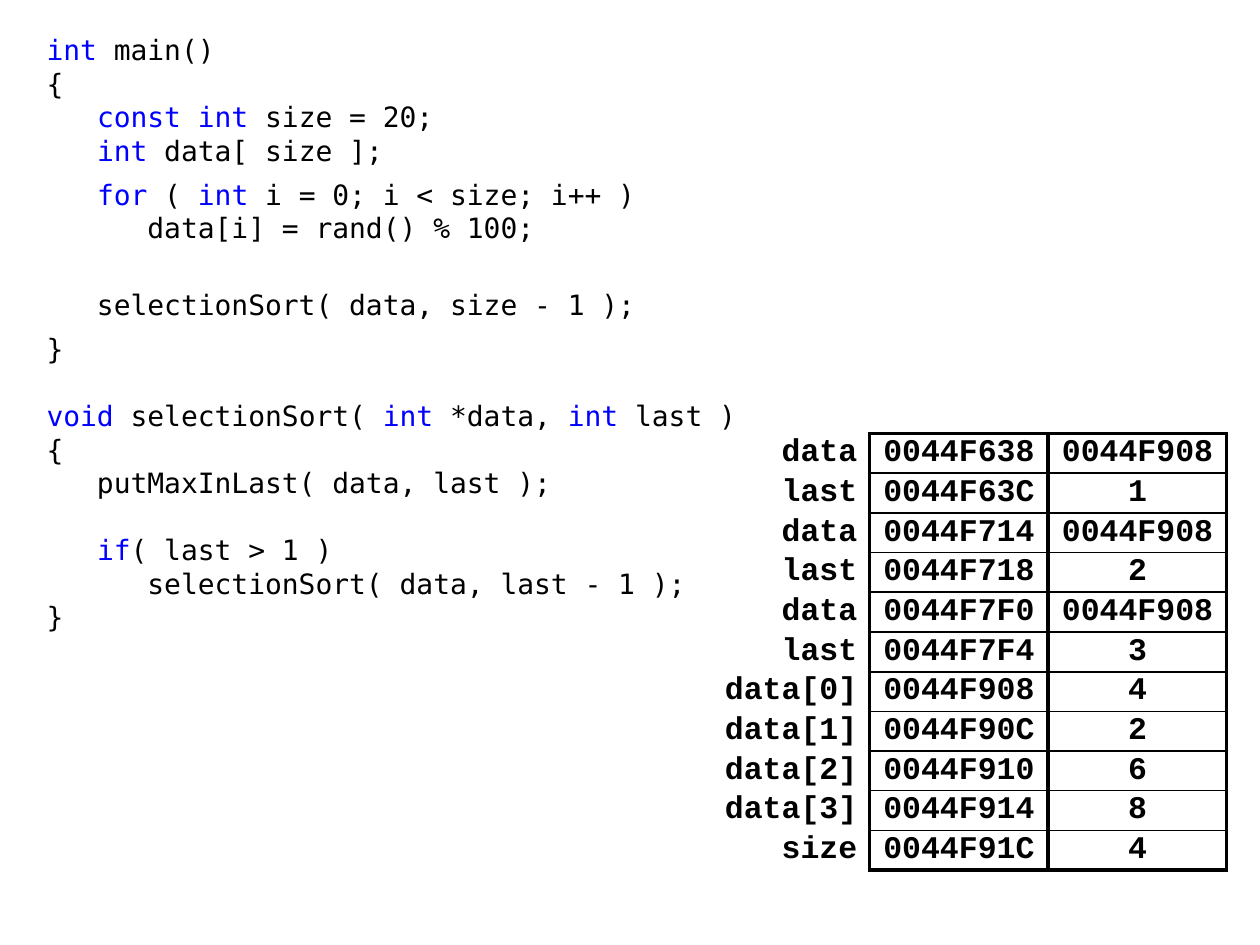
"""Build a slide with a recursive selection sort and its memory table."""
from lxml.etree import SubElement
from pptx import Presentation
from pptx.dml.color import RGBColor
from pptx.enum.text import MSO_ANCHOR, PP_ALIGN
from pptx.oxml.ns import qn
from pptx.util import Cm, Pt

BLACK = RGBColor(0, 0, 0)
BLUE = RGBColor(0, 0, 255)
WHITE = RGBColor(255, 255, 255)
CODE_FONT, TABLE_FONT = "DejaVu Sans Mono", "Courier New"
LINE_PITCH = 19.15
OUTER, PAIR_END, INNER = 2.25, 1.5, 1

# Text between bars is a keyword; the numbers are points before and after the line.
CODE = [
    ("|int| main()", 0, 0),
    ("{", 0, 0),
    ("   |const int |size = 20;", 0, 0),
    ("   |int| data[ size ];", 0, 6),
    ("   |for| ( |int| i = 0; i < size; i++ )", 0, 0),
    ("      data[i] = rand() % 100;", 0, 6),
    ("   selectionSort( data, size - 1 );", LINE_PITCH, 6),
    ("}", 0, 0),
    ("|void |selectionSort( |int |*data, |int| last )", LINE_PITCH, 0),
    ("{", 0, 0),
    ("   putMaxInLast( data, last );", 0, 0),
    ("   |if|( last > 1 )", LINE_PITCH, 0),
    ("      selectionSort( data, last - 1 );", 0, 0),
    ("}", 0, 0),
]
MEMORY = [
    ("data", "0044F638", "0044F908"),
    ("last", "0044F63C", "1"),
    ("data", "0044F714", "0044F908"),
    ("last", "0044F718", "2"),
    ("data", "0044F7F0", "0044F908"),
    ("last", "0044F7F4", "3"),
    ("data[0]", "0044F908", "4"),
    ("data[1]", "0044F90C", "2"),
    ("data[2]", "0044F910", "6"),
    ("data[3]", "0044F914", "8"),
    ("size", "0044F91C", "4"),
]
COLUMN_WIDTHS = (3.2, 3.6, 3.6)
ROW_HEIGHT = 0.8


def write(paragraph, text, *, font, size, bold=False, align=PP_ALIGN.LEFT,
          before=0, after=0, pitch=None):
    paragraph.alignment = align
    paragraph.space_before, paragraph.space_after = Pt(before), Pt(after)
    if pitch:
        paragraph.line_spacing = Pt(pitch)
    for index, part in enumerate(text.split("|")):
        if part:
            run = paragraph.add_run()
            run.text = part
            run.font.name, run.font.size, run.font.bold = font, Pt(size), bold
            run.font.color.rgb = BLUE if index % 2 else BLACK


def set_borders(cell, widths):
    properties = cell._tc.get_or_add_tcPr()
    for side in "LRTB":
        width = widths.get(side)
        line = SubElement(properties, qn(f"a:ln{side}"), w=str(Pt(width or 0)))
        if width:
            fill = SubElement(line, qn("a:solidFill"))
            SubElement(fill, qn("a:srgbClr"), val=str(BLACK))
        else:
            SubElement(line, qn("a:noFill"))


def add_code(slide):
    frame = slide.shapes.add_textbox(Cm(0.69), Cm(0.53), Cm(14.5), Cm(12.5)).text_frame
    frame.word_wrap = True
    frame.margin_left, frame.margin_right = Cm(0.25), Cm(0.2)
    frame.margin_top = frame.margin_bottom = Cm(0.13)
    for index, (text, before, after) in enumerate(CODE):
        paragraph = frame.add_paragraph() if index else frame.paragraphs[0]
        write(paragraph, text, font=CODE_FONT, size=16, before=before,
              after=after, pitch=LINE_PITCH)


def add_memory(slide):
    table = slide.shapes.add_table(
        len(MEMORY), len(COLUMN_WIDTHS), Cm(14.33), Cm(8.74),
        Cm(sum(COLUMN_WIDTHS)), Cm(ROW_HEIGHT * len(MEMORY))).table
    table.first_row = table.horz_banding = False
    for column, width in zip(table.columns, COLUMN_WIDTHS):
        column.width = Cm(width)
    rules = [OUTER]
    rules += [PAIR_END if entry[0] == "last" else INNER for entry in MEMORY[:-1]]
    rules += [OUTER]
    for row, entry in enumerate(MEMORY):
        table.rows[row].height = Cm(ROW_HEIGHT)
        for column, text in enumerate(entry):
            cell = table.cell(row, column)
            cell.margin_left = cell.margin_right = Cm(0.25)
            cell.margin_top = cell.margin_bottom = 0
            cell.vertical_anchor = MSO_ANCHOR.MIDDLE
            borders = {"R": OUTER}
            if column:
                borders.update(L=OUTER, T=rules[row], B=rules[row + 1])
            set_borders(cell, borders)
            cell.fill.solid()
            cell.fill.fore_color.rgb = WHITE
            write(cell.text_frame.paragraphs[0], text, font=TABLE_FONT, size=18,
                  bold=True, align=PP_ALIGN.CENTER if column else PP_ALIGN.RIGHT)


def main():
    presentation = Presentation()
    presentation.slide_width, presentation.slide_height = Cm(25.4), Cm(19.05)
    slide = presentation.slides.add_slide(presentation.slide_layouts[6])
    add_code(slide)
    add_memory(slide)
    presentation.save("out.pptx")


if __name__ == "__main__":
    main()
